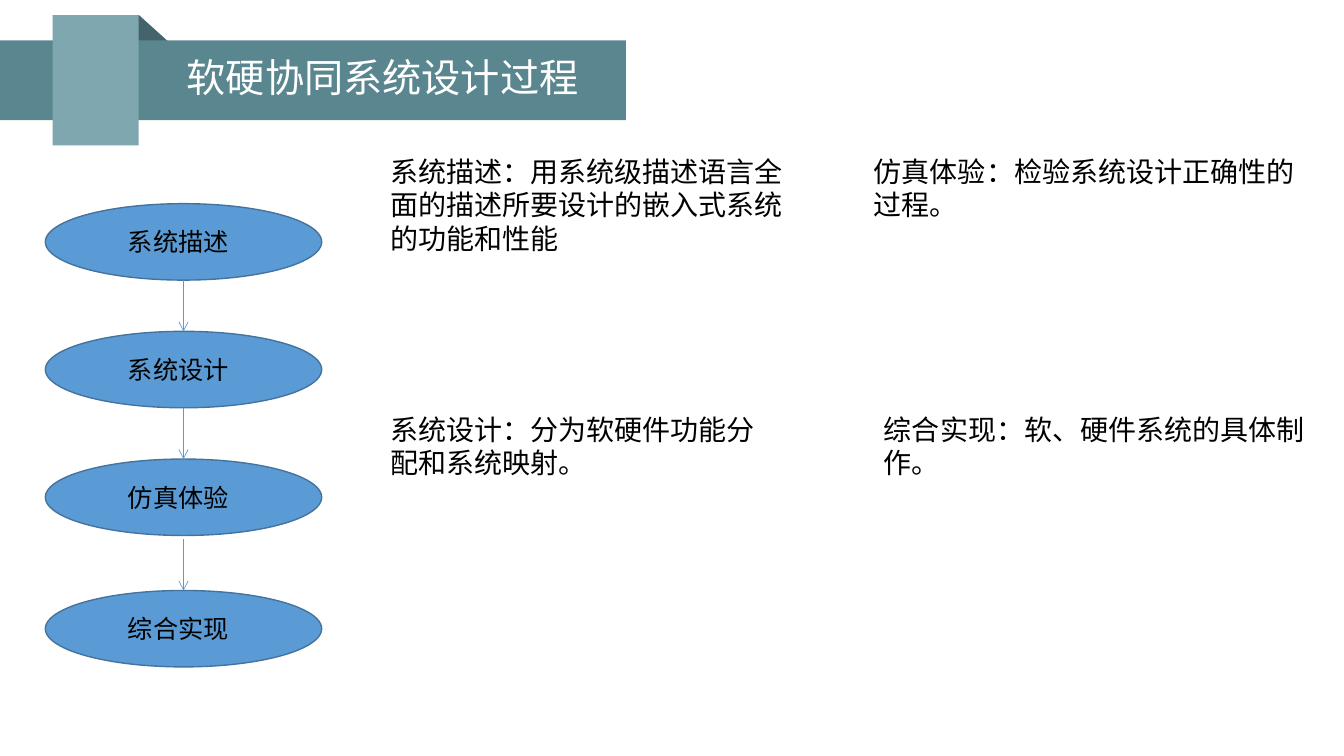
import lxml.etree
import pptx
import pptx.dml.color
import pptx.enum.shapes
import pptx.enum.text
import pptx.oxml.ns
import pptx.util

COLUMNS, ROWS = 32, 18
TITLE_ONLY = 5


def color(hex_string):
    return pptx.dml.color.RGBColor.from_string(hex_string)


class FlowSlide:
    """Style and current slide; all lengths are grid columns and rows."""

    font = "Arial"
    black, white = "000000", "FFFFFF"
    band, tab, fold = "5A868F", "7FA7AF", "43646B"
    node, outline = "5B9BD5", "43739E"

    def __init__(self, presentation):
        self.column = presentation.slide_width / COLUMNS
        self.row = presentation.slide_height / ROWS
        self.slide = presentation.slides.add_slide(presentation.slide_layouts[TITLE_ONLY])
        self.shapes = self.slide.shapes

    def box(self, left, top, width, height):
        return (round(left * self.column), round(top * self.row),
                round(width * self.column), round(height * self.row))

    def paint(self, shape, fill, line=None):
        shape.shadow.inherit = False
        shape.fill.solid()
        shape.fill.fore_color.rgb = color(fill)
        if line:
            shape.line.color.rgb = color(line)
            shape.line.width = pptx.util.Pt(1)
        else:
            shape.line.fill.background()

    def rectangle(self, place, fill):
        kind = pptx.enum.shapes.MSO_SHAPE.RECTANGLE
        self.paint(self.shapes.add_shape(kind, *self.box(*place)), fill)

    def ellipse(self, place):
        kind = pptx.enum.shapes.MSO_SHAPE.OVAL
        self.paint(self.shapes.add_shape(kind, *self.box(*place)), self.node, self.outline)

    def polygon(self, points, fill):
        corners = [(x * self.column, y * self.row) for x, y in points]
        builder = self.shapes.build_freeform(*corners[0])
        builder.add_line_segments(corners[1:], close=True)
        self.paint(builder.convert_to_shape(), fill)

    def down_arrow(self, x, top, bottom):
        connector = self.shapes.add_connector(
            pptx.enum.shapes.MSO_CONNECTOR.STRAIGHT, *self.box(x, top, x, bottom))
        connector.line.color.rgb = color(self.node)
        connector.line.width = pptx.util.Pt(0.5)
        qualified = pptx.oxml.ns.qn
        properties = connector.element.spPr
        line = properties.find(qualified("a:ln"))
        lxml.etree.SubElement(line, qualified("a:tailEnd"), type="arrow")
        lxml.etree.SubElement(properties, qualified("a:effectLst"))

    def set_text(self, shape, text, size, text_color):
        shape.text_frame.text = text
        shape.text_frame.word_wrap = True
        paragraph = shape.text_frame.paragraphs[0]
        for run in paragraph.runs:
            run.font.name = self.font
            run.font.size = pptx.util.Pt(size)
            run.font.color.rgb = color(text_color)
        return paragraph

    def text(self, place, text, size):
        shape = self.shapes.add_textbox(*self.box(*place))
        self.set_text(shape, text, size, self.black)
        shape.text_frame.auto_size = pptx.enum.text.MSO_AUTO_SIZE.SHAPE_TO_FIT_TEXT

    def title(self, place, text, size):
        shape = self.shapes.title
        shape.left, shape.top, shape.width, shape.height = self.box(*place)
        paragraph = self.set_text(shape, text, size, self.white)
        paragraph.alignment = pptx.enum.text.PP_ALIGN.CENTER
        paragraph.line_spacing = 0.9
        shape.text_frame.auto_size = pptx.enum.text.MSO_AUTO_SIZE.NONE
        shape.text_frame.vertical_anchor = pptx.enum.text.MSO_ANCHOR.MIDDLE
        # Bring the title in front of the ribbon
        shape.element.getparent().append(shape.element)


def main():
    presentation = pptx.Presentation()
    presentation.slide_width = pptx.util.Inches(13.33)
    presentation.slide_height = pptx.util.Inches(7.5)
    page = FlowSlide(presentation)

    # Title ribbon
    page.polygon([(1.25, 0.36), (3.31, 0.36), (5.3, 2.16)], page.fold)
    page.rectangle((0, 0.96, 14.9, 1.9), page.band)
    page.rectangle((1.25, 0.36, 2.05, 3.1), page.tab)
    page.title((3.31, 0.96, 11.6, 1.9), "软硬协同系统设计过程", 28)

    # Process steps
    left, width, height, arrow_length = 1.08, 6.58, 1.82, 1.22
    steps = {"系统描述": 4.85, "系统设计": 7.89, "仿真体验": 10.93, "综合实现": 14.06}
    for top in steps.values():
        page.ellipse((left, top, width, height))
    for top in list(steps.values())[1:]:
        page.down_arrow(left + width / 2, top - arrow_length, top)
    for name, top in steps.items():
        page.text((2.81, top + 0.43, 3.12, 0.96), name, 18)

    # Explanations
    upper, lower = 3.55, 9.7
    explanations = [
        (9.05, upper, 10.13, 2.66, "系统描述：用系统级描述语言全面的描述所要设计的嵌入式系统的功能和性能"),
        (9.05, lower, 9.55, 1.85, "系统设计：分为软硬件功能分配和系统映射。"),
        (20.57, upper, 10.9, 1.85, "仿真体验：检验系统设计正确性的过程。"),
        (20.81, lower, 10.63, 1.85, "综合实现：软、硬件系统的具体制作。"),
    ]
    for *place, explanation in explanations:
        page.text(place, explanation, 20)

    presentation.save("out.pptx")


if __name__ == "__main__":
    main()
